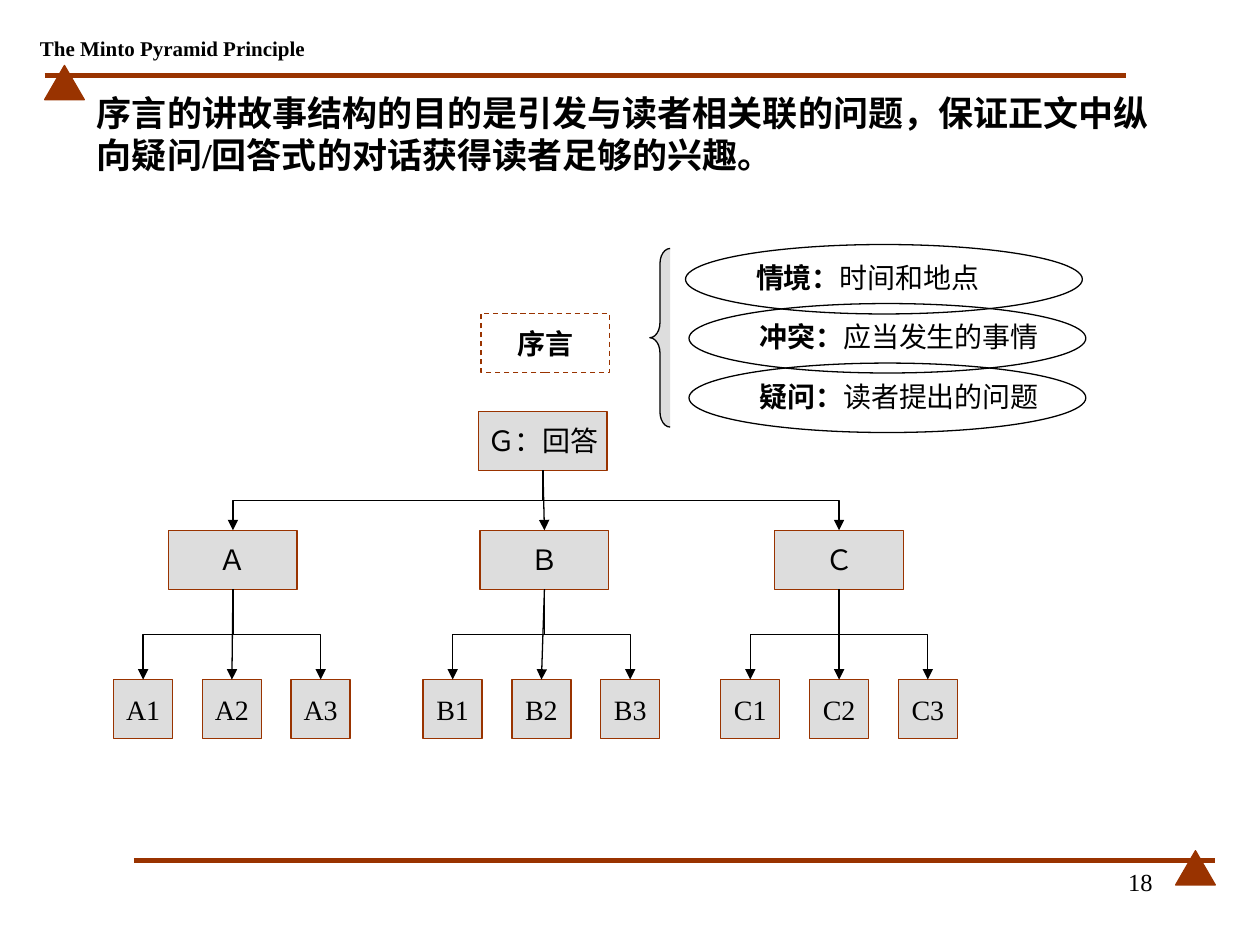
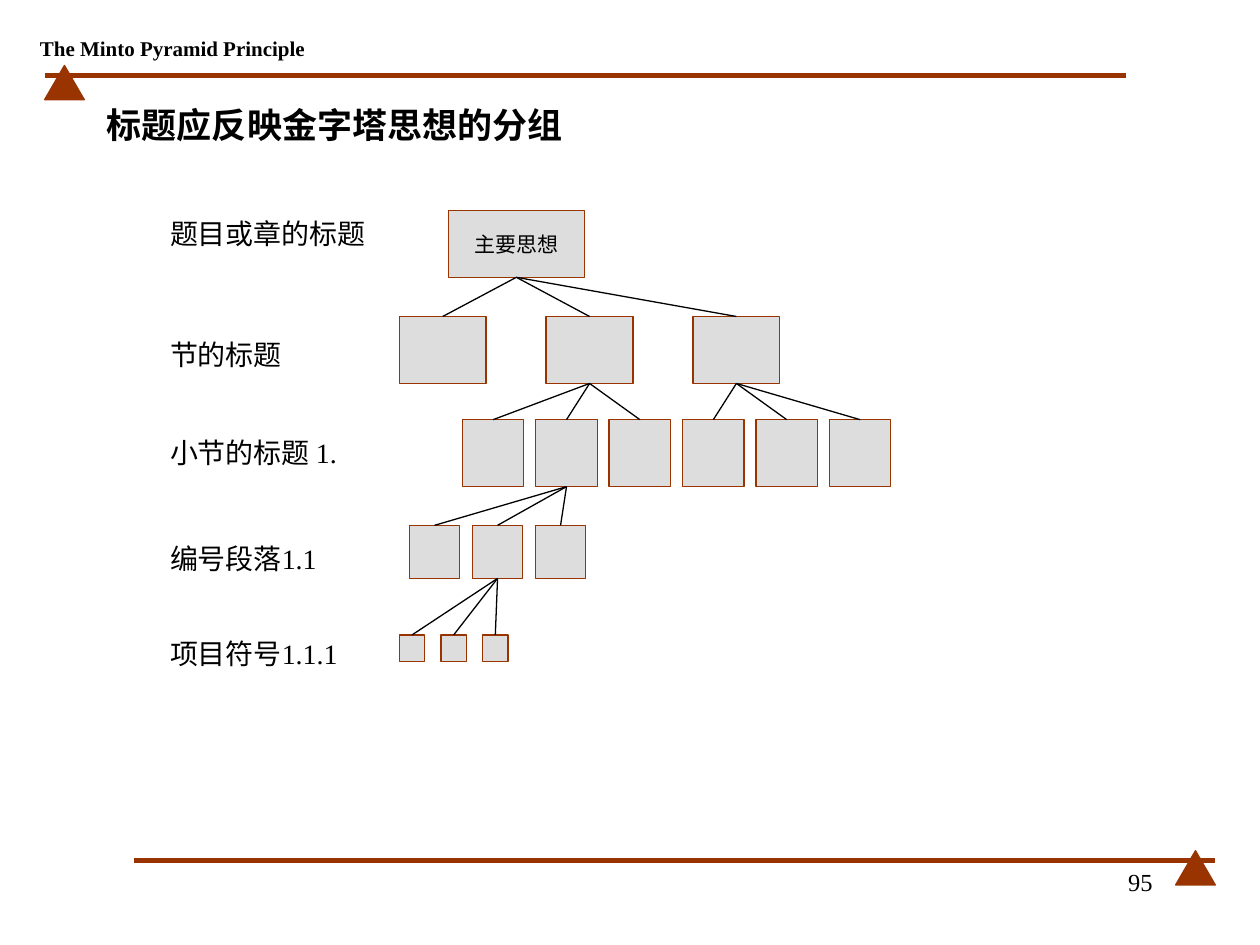
import pptx
import pptx.dml.color
import pptx.enum.dml
import pptx.enum.shapes
import pptx.enum.text
import pptx.oxml
import pptx.oxml.ns
import pptx.util

Cm = pptx.util.Cm
Pt = pptx.util.Pt
ALIGN = pptx.enum.text.PP_ALIGN
ANCHOR = pptx.enum.text.MSO_ANCHOR
SHAPE = pptx.enum.shapes.MSO_SHAPE
CONNECTOR = pptx.enum.shapes.MSO_CONNECTOR

COLORS = {"accent": "993300", "box": "DDDDDD", "ink": "000000"}
FONT = "Times New Roman"
BOTTOM, TOP = 2, 0

# Introduction ellipses: left, top, bold lead, explanation
STORY_PARTS = [
    (13.82, 4.93, "情境：", "时间和地点"),
    (13.89, 6.12, "冲突：", "应当发生的事情"),
    (13.89, 7.32, "疑问：", "读者提出的问题"),
]

# Pyramid branches: name, letter, branch left, first leaf left
BRANCHES = [("Ａ", "A", 3.4, 2.29), ("Ｂ", "B", 9.68, 8.53), ("Ｃ", "C", 15.62, 14.53)]

# Heading levels: label (text, top, width, line spacing), then boxes
# (left, top, pitch, width, height) and the parent index of each box
LEVELS = [
    (("题目或章的标题", 4.24, 4.65, 1.0), (9.04, 4.24, 0, 2.74, 1.35), [None]),
    (("节的标题", 6.35, 3.18, 1.5), (8.05, 6.38, 2.96, 1.75, 1.35), [0, 0, 0]),
    (("小节的标题 1.", 8.46, 5.28, 1.3), (9.32, 8.46, 1.48, 1.24, 1.35), [1, 1, 1, 2, 2, 2]),
    (("编号段落1.1", 10.59, 4.24, 1.3), (8.26, 10.59, 1.27, 1, 1.07), [1, 1, 1]),
    (("项目符号1.1.1", 12.5, 4.65, 1.3), (8.05, 12.8, 0.84, 0.51, 0.53), [1, 1, 1]),
]


def color(name):
    return pptx.dml.color.RGBColor.from_string(COLORS[name])


def write_text(shape, *texts, size=16, bold=(False,), align=ALIGN.LEFT,
               anchor=ANCHOR.TOP, wrap=True, spacing=None):
    """Write one paragraph, with one run for each text."""
    frame = shape.text_frame
    frame.word_wrap = wrap
    frame.auto_size = pptx.enum.text.MSO_AUTO_SIZE.NONE
    frame.vertical_anchor = anchor
    paragraph = frame.paragraphs[0]
    paragraph.alignment = align
    if spacing:
        paragraph.line_spacing = spacing
    for text, is_bold in zip(texts, bold):
        run = paragraph.add_run()
        run.text = text
        run.font.name = FONT
        run.font.size = Pt(size)
        run.font.bold = is_bold
        run.font.color.rgb = color("ink")


def add_text(slide, left, top, width, height, text, **text_format):
    shape = slide.shapes.add_textbox(Cm(left), Cm(top), Cm(width), Cm(height))
    write_text(shape, text, **text_format)
    return shape


def add_shape(slide, kind, left, top, width, height, fill="box", line="accent"):
    shape = slide.shapes.add_shape(kind, Cm(left), Cm(top), Cm(width), Cm(height))
    shape.shadow.inherit = False
    if fill:
        shape.fill.solid()
        shape.fill.fore_color.rgb = color(fill)
    else:
        shape.fill.background()
    shape.line.color.rgb = color(line)
    shape.line.width = Pt(0.75)
    return shape


def add_box(slide, left, top, width, height, text=None, size=16, bold=False, fill="box"):
    box = add_shape(slide, SHAPE.RECTANGLE, left, top, width, height, fill)
    if text:
        write_text(box, text, size=size, bold=(bold,), align=ALIGN.CENTER,
                   anchor=ANCHOR.MIDDLE, wrap=False)
    return box


def style_line(connector, name="ink", width=0.75, arrow=False):
    connector.line.color.rgb = color(name)
    connector.line.width = Pt(width)
    properties = connector.element.spPr
    if arrow:
        tail = pptx.oxml.parse_xml(
            f'<a:tailEnd {pptx.oxml.ns.nsdecls("a")} type="triangle"/>')
        properties.find(pptx.oxml.ns.qn("a:ln")).append(tail)
    effects = pptx.oxml.parse_xml(f'<a:effectLst {pptx.oxml.ns.nsdecls("a")}/>')
    properties.append(effects)


def add_rule(slide, left, right, y):
    rule = slide.shapes.add_connector(
        CONNECTOR.STRAIGHT, Cm(left), Cm(y), Cm(right), Cm(y))
    style_line(rule, "accent", 3)
    return rule


def join(slide, parent, child, kind=CONNECTOR.STRAIGHT, arrow=False):
    """Connect the bottom of parent with the top of child."""
    connector = slide.shapes.add_connector(kind, 0, 0, 0, 0)
    connector.begin_connect(parent, BOTTOM)
    connector.end_connect(child, TOP)
    if kind == CONNECTOR.ELBOW:
        turn_downward(connector, parent, child)
    style_line(connector, arrow=arrow)


def turn_downward(connector, parent, child):
    """Rotate an elbow so that it leaves and arrives vertically."""
    start_x = parent.left + parent.width // 2
    end_x = child.left + child.width // 2
    start_y, end_y = parent.top + parent.height, child.top
    across, down = abs(end_x - start_x), end_y - start_y
    connector.left = (start_x + end_x - down) // 2
    connector.top = (start_y + end_y - across) // 2
    connector.width, connector.height = down, across
    transform = connector.element.spPr.find(pptx.oxml.ns.qn("a:xfrm"))
    goes_right = end_x > start_x
    transform.set("rot", "16200000" if goes_right else "5400000")
    transform.set("flipH", "1" if goes_right else "0")
    transform.set("flipV", "0")


def add_frame(slide, layout):
    """Draw the header and footer bands and hand them to the layout."""
    parts = []
    for left, right, y, triangle_left in [(0.9, 22.7, 1.52, 0.9), (2.7, 24.5, 17.35, 23.7)]:
        parts.append(add_rule(slide, left, right, y))
        parts.append(add_shape(slide, SHAPE.ISOSCELES_TRIANGLE, triangle_left, y - 0.2,
                               0.8, 0.69, fill="accent"))
    parts.append(add_text(slide, 0.58, 0.62, 5.8, 0.71, "The Minto Pyramid Principle",
                          size=12, bold=(True,), align=ALIGN.CENTER,
                          anchor=ANCHOR.MIDDLE, wrap=False))
    for number, part in enumerate(parts, 101):
        part.element.xpath(".//p:cNvPr")[0].set("id", str(number))
        layout.shapes.element.append(part.element)


def add_slide(presentation, layout, title, left, top, number):
    slide = presentation.slides.add_slide(layout)
    shape = slide.shapes.title
    shape.left, shape.top, shape.width, shape.height = Cm(left), Cm(top), Cm(22.2), Cm(1.63)
    write_text(shape, title, size=20, bold=(True,), anchor=ANCHOR.MIDDLE)
    add_text(slide, 18.21, 17.35, 5.28, 1.27, str(number), size=14, align=ALIGN.RIGHT)
    return slide


def draw_introduction(slide):
    preface = add_box(slide, 9.7, 6.32, 2.59, 1.19, "序言", bold=True, fill=None)
    preface.line.dash_style = pptx.enum.dml.MSO_LINE.DASH
    brace = add_shape(slide, SHAPE.LEFT_BRACE, 13.1, 5.01, 0.41, 3.6, line="ink")
    brace.adjustments[0] = 0.75
    for left, top, lead, explanation in STORY_PARTS:
        ellipse = add_shape(slide, SHAPE.OVAL, left, top, 8, 1.4, fill=None, line="ink")
        write_text(ellipse, lead, explanation, bold=(True, False), wrap=False)


def draw_answer_pyramid(slide):
    answer = add_box(slide, 9.65, 8.29, 2.59, 1.19, "Ｇ：回答")
    for name, letter, left, leaf_left in BRANCHES:
        branch = add_box(slide, left, 10.69, 2.59, 1.19, name)
        middle = letter == "B"
        join(slide, answer, branch, CONNECTOR.STRAIGHT if middle else CONNECTOR.ELBOW, True)
        for index in range(3):
            leaf = add_box(slide, leaf_left + 1.79 * index, 13.7, 1.19, 1.19,
                           f"{letter}{index + 1}")
            kind = CONNECTOR.STRAIGHT if index == 1 else CONNECTOR.ELBOW
            join(slide, branch, leaf, kind, True)


def draw_heading_levels(slide):
    parents = []
    for label, (left, top, pitch, width, height), parent_indexes in LEVELS:
        text, label_top, label_width, spacing = label
        add_text(slide, 3.18, label_top, label_width, 1.14, text, spacing=spacing)
        boxes = []
        for index, parent_index in enumerate(parent_indexes):
            is_root = parent_index is None
            box = add_box(slide, left + pitch * index, top, width, height,
                          "主要思想" if is_root else None, size=12)
            if not is_root:
                join(slide, parents[parent_index], box)
            boxes.append(box)
        parents = boxes


def main():
    presentation = pptx.Presentation()
    presentation.slide_width, presentation.slide_height = Cm(25.4), Cm(19.05)
    layout = presentation.slide_layouts[5]

    # Story structure of the introduction
    story = add_slide(
        presentation, layout,
        "序言的讲故事结构的目的是引发与读者相关联的问题，保证正文中纵向疑问/回答式的对话获得读者足够的兴趣。",
        1.7, 1.88, 18)
    add_frame(story, layout)
    draw_answer_pyramid(story)
    draw_introduction(story)

    # Headings that follow the pyramid
    headings = add_slide(presentation, layout, "标题应反映金字塔思想的分组", 1.9, 1.7, 95)
    draw_heading_levels(headings)

    presentation.save("out.pptx")


if __name__ == "__main__":
    main()
